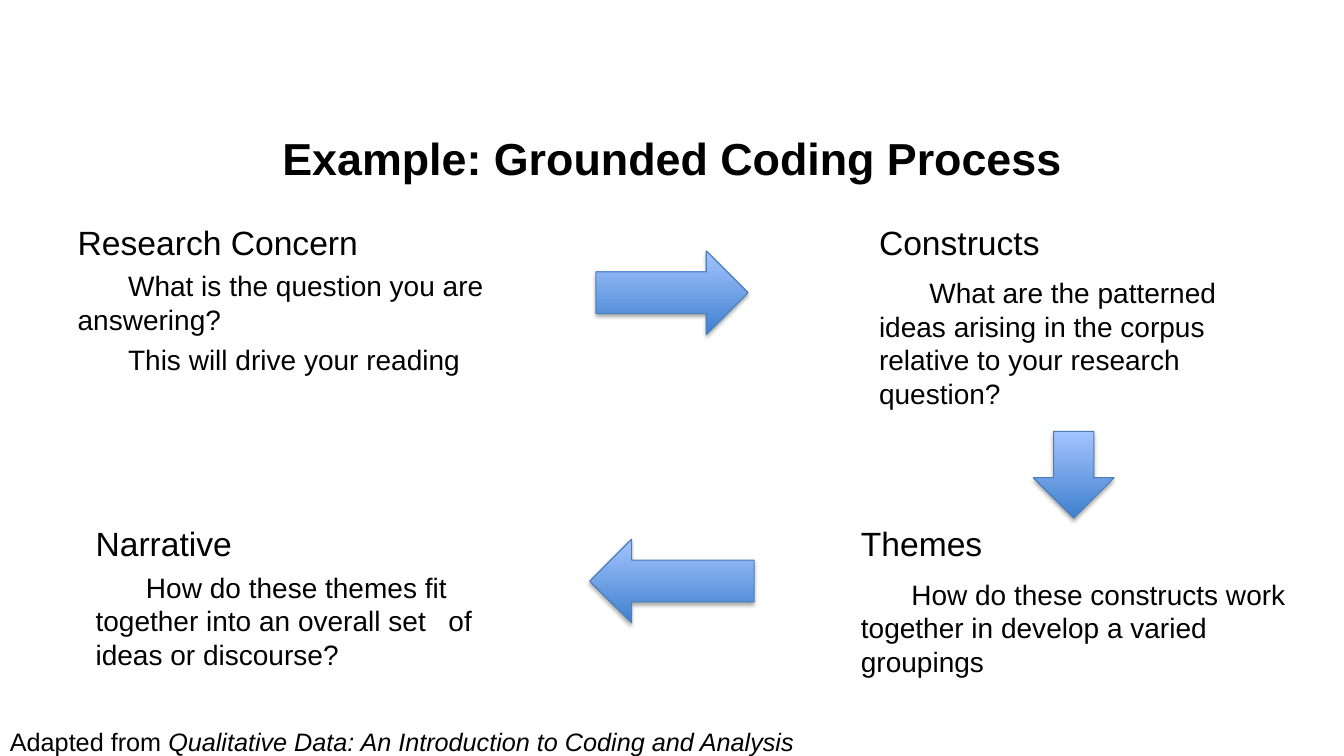
import pptx
import pptx.dml.color
import pptx.enum.shapes
import pptx.enum.text
import pptx.oxml
import pptx.oxml.ns
import pptx.util
from pptx.util import Inches, Pt

COLORS = {"text": "000000", "dark": "3F80CE", "light": "A4C4FF", "edge": "4B7EBC"}
FONT = "Arial"
TITLE = "Example: Grounded Coding Process"

# Each step: (left, top, width), heading, points, space before points
LEAD_GAP, WIDE_GAP = 4.8, 9.8
STEPS = [
    ((0.67, 2.15, 5.51), "Research Concern",
     ["What is the question you are answering?", "This will drive your reading"], LEAD_GAP),
    ((8.62, 2.15, 4.04), "Constructs",
     ["What are the patterned ideas arising in the corpus relative to your research question?"],
     WIDE_GAP),
    ((8.44, 5.14, 4.99), "Themes",
     ["How do these constructs work together in develop a varied\vgroupings"], WIDE_GAP),
    ((0.85, 5.14, 4.04), "Narrative",
     ["How do these themes fit together into an overall set\tof ideas or discourse?"], LEAD_GAP),
]
STEP_HEIGHT = 0.67
CREDIT = [("Adapted from ", False),
          ("Qualitative Data: An Introduction to Coding and Analysis", True)]
ARROWS = [
    ("RIGHT_ARROW", (5.91, 2.49, 1.51, 0.83)),
    ("DOWN_ARROW", (10.25, 4.28, 0.8, 0.86)),
    ("LEFT_ARROW", (5.85, 5.35, 1.63, 0.83)),
]
SHADOW = (
    '<a:outerShdw %s blurRad="%d" dist="%d" dir="5400000" rotWithShape="0">'
    '<a:srgbClr val="000000"><a:alpha val="35000"/></a:srgbClr></a:outerShdw>'
    % (pptx.oxml.ns.nsdecls("a"), Pt(3.1), Pt(1.8))
)


def color(name):
    """Return the named colour."""
    return pptx.dml.color.RGBColor.from_string(COLORS[name])


def place(shape, left, top, width, height):
    """Move and size a shape, in inches."""
    shape.left, shape.top = Inches(left), Inches(top)
    shape.width, shape.height = Inches(width), Inches(height)


def style(para, size, bold=False):
    """Format all runs of a paragraph."""
    for span in para.runs:
        span.font.name, span.font.size, span.font.bold = FONT, Pt(size), bold
        span.font.color.rgb = color("text")


def set_layout(para, indent, gap):
    """Drop the bullet and set first-line indent, tab step and space before."""
    para.space_before = Pt(gap)
    properties = para._p.get_or_add_pPr()
    properties.set("marL", "0")
    properties.set("indent", str(Inches(indent)))
    properties.set("defTabSz", str(Inches(0.5)))
    properties.append(pptx.oxml.parse_xml("<a:buNone %s/>" % pptx.oxml.ns.nsdecls("a")))


def prepare(box):
    """Make a box wrap its text and keep its size."""
    box.text_frame.word_wrap = True
    box.text_frame.auto_size = pptx.enum.text.MSO_AUTO_SIZE.NONE


def fill_step(box, heading, points, gap):
    """Write one step: a heading over indented points."""
    prepare(box)
    box.text_frame.text = "\n".join([heading] + points)
    for number, para in enumerate(box.text_frame.paragraphs):
        style(para, 20 if number else 24)
        set_layout(para, 0.5 if number else 0, gap if number else LEAD_GAP)


def add_arrow(page, kind, area):
    """Draw a shaded block arrow."""
    preset = getattr(pptx.enum.shapes.MSO_SHAPE, kind)
    arrow = page.shapes.add_shape(preset, *map(Inches, area))
    arrow.fill.gradient()
    arrow.fill.gradient_angle = 90
    for stop, name in zip(arrow.fill.gradient_stops, ("dark", "light")):
        stop.color.rgb = color(name)
    arrow.line.color.rgb = color("edge")
    arrow.line.width = Pt(0.75)
    arrow.shadow.inherit = False
    effects = arrow._element.spPr.find(pptx.oxml.ns.qn("a:effectLst"))
    effects.append(pptx.oxml.parse_xml(SHADOW))


deck = pptx.Presentation()
deck.slide_width, deck.slide_height = Inches(13.33), Inches(7.5)
page = deck.slides.add_slide(deck.slide_layouts[1])

title = page.shapes.title
place(title, 0.67, 0.98, 12, 1.17)
prepare(title)
title.text_frame.text = TITLE
title.text_frame.vertical_anchor = pptx.enum.text.MSO_ANCHOR.MIDDLE
title.text_frame.paragraphs[0].alignment = pptx.enum.text.PP_ALIGN.CENTER
style(title.text_frame.paragraphs[0], 32, bold=True)

for number, (area, heading, points, gap) in enumerate(STEPS):
    box = page.shapes.add_textbox(0, 0, 0, 0) if number else page.placeholders[1]
    place(box, *area, STEP_HEIGHT)
    fill_step(box, heading, points, gap)

credit = page.shapes.add_textbox(0, Inches(7.16), Inches(8.28), Inches(0.34))
prepare(credit)
credit_para = credit.text_frame.paragraphs[0]
for words, italic in CREDIT:
    span = credit_para.add_run()
    span.text, span.font.italic = words, italic
style(credit_para, 18)
set_layout(credit_para, 0, 3.6)

for kind, area in ARROWS:
    add_arrow(page, kind, area)

deck.save("out.pptx")
